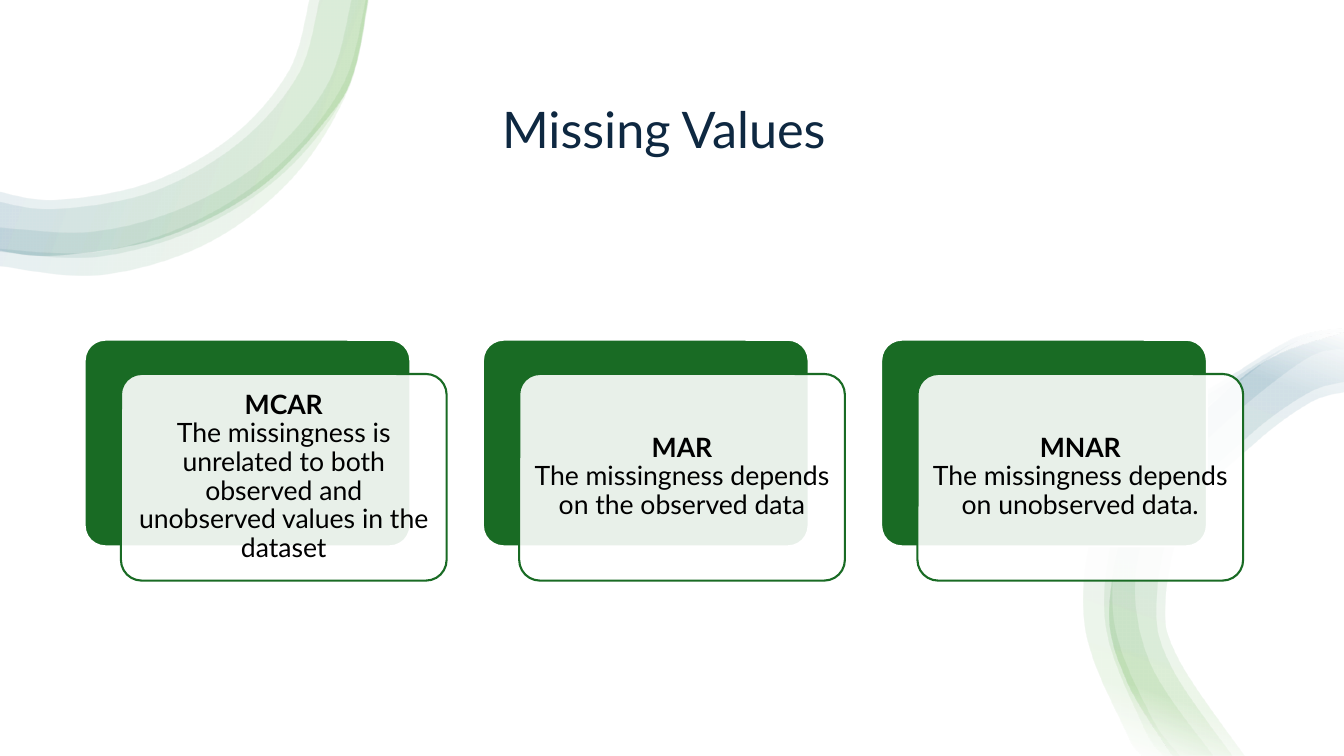
import pptx
import pptx.dml.color
import pptx.enum.shapes
import pptx.enum.text
import pptx.oxml
import pptx.oxml.ns
import pptx.util
from lxml import etree

Inches = pptx.util.Inches
Pt = pptx.util.Pt
qn = pptx.oxml.ns.qn
MIDDLE = pptx.enum.text.MSO_ANCHOR.MIDDLE
BOTTOM = pptx.enum.text.MSO_ANCHOR.BOTTOM
CENTER = pptx.enum.text.PP_ALIGN.CENTER
ROUNDED = pptx.enum.shapes.MSO_SHAPE.ROUNDED_RECTANGLE

COLORS = {
    "white": "FFFFFF", "navy": "0E2841", "black": "000000",
    "forest": "196B24", "leaf": "4EA72E", "teal": "156082",
}
FONT = "Lato"
RIBBON_STOPS = [(2, "white"), (16, "leaf"), (85, "teal"), (100, "white")]

CARDS = [
    ("MCAR", "The missingness is unrelated to both observed and unobserved values in the dataset"),
    ("MAR", "The missingness depends on the observed data"),
    ("MNAR", "The missingness depends on unobserved data."),
]

# Each ribbon is a stack of bands; a band lies between two named edges.
TOP_EDGES = {
    "inner": [(3.06, 0), (2.86, 0.7), (2.3, 1.35), (1.48, 1.81), (0.56, 1.98), (0, 1.9)],
    "inset": [(3.16, 0), (2.95, 0.74), (2.36, 1.42), (1.51, 1.9), (0.56, 2.07), (0, 2)],
    "outer": [(3.64, 0), (3.51, 0.68), (3.28, 1.12), (2.57, 1.86), (1.62, 2.35),
              (0.56, 2.53), (0, 2.48)],
    "rim start": [(3.48, 0), (3.25, 0.82), (2.66, 1.54), (1.85, 2.04), (0.93, 2.29), (0, 2.25)],
    "rim end": [(3.64, 0), (3.43, 0.9), (2.82, 1.7), (1.96, 2.26), (0.96, 2.54), (0, 2.49)],
    "halo start": [(3.63, 0), (3.4, 0.85), (2.77, 1.64), (1.93, 2.2), (0.96, 2.5), (0, 2.47)],
    "halo end": [(3.66, 0), (3.46, 0.88), (2.91, 1.76), (2.05, 2.42), (0.99, 2.73), (0, 2.64)],
}
TOP_BANDS = [("inner", "outer"), ("inset", "outer"),
             ("rim start", "rim end"), ("halo start", "halo end")]

RIGHT_EDGES = {
    "halo start": [(3.33, 0.29), (2.85, 0.39), (2.23, 0.83), (1.65, 1.34), (1.14, 2.19),
                   (1.05, 3.18), (1.41, 4.1), (1.7, 4.5)],
    "halo end": [(3.33, 0.26), (2.84, 0.35), (2.17, 0.75), (1.52, 1.19), (0.89, 2.1),
                 (0.76, 3.22), (1.17, 4.27), (1.33, 4.5)],
    "rim start": [(3.33, 0.46), (2.95, 0.56), (2.2, 1.15), (1.58, 1.82), (1.27, 2.68),
                  (1.41, 3.58), (2.03, 4.5)],
    "rim end": [(3.33, 0.3), (2.88, 0.38), (2.23, 0.76), (1.63, 1.21), (1.1, 2.13),
                (0.97, 3.19), (1.34, 4.2), (1.54, 4.5)],
    "outer": [(3.33, 0.3), (2.67, 0.52), (2.13, 0.91), (1.31, 1.78), (1.01, 2.98),
              (1.17, 3.74), (1.63, 4.5)],
    "inset": [(3.33, 0.79), (2.97, 0.9), (2.39, 1.32), (1.69, 2.06), (1.47, 2.98),
              (1.62, 3.62), (2.22, 4.5)],
    "inner": [(3.33, 0.89), (2.98, 1), (2.44, 1.4), (1.78, 2.08), (1.56, 2.98),
              (1.7, 3.56), (2.34, 4.5)],
}
RIGHT_BANDS = [("halo start", "halo end"), ("rim start", "rim end"),
               ("inset", "outer"), ("inner", "outer")]


def rgb(name):
    return pptx.dml.color.RGBColor.from_string(COLORS[name])


def apply_format(target, values):
    for name, value in values.items():
        setattr(target, name, value)


def round_edges(shape, edge_lengths):
    """Turn the straight segments along each edge into smooth cubic curves."""
    nodes = list(shape.element.spPr.iter(qn("a:pt")))
    points = [(int(node.get("x")), int(node.get("y"))) for node in nodes]
    first = 0
    for length in edge_lengths:
        edge = points[first:first + length]
        padded = [edge[0], *edge, edge[-1]]
        for index in range(1, length):
            a, b, c, d = padded[index - 1:index + 3]
            line = nodes[first + index].getparent()
            curve = etree.Element(qn("a:cubicBezTo"))
            controls = ([q + (r - p) / 6 for p, q, r in zip(a, b, c)],
                        [r - (s - q) / 6 for q, r, s in zip(b, c, d)], c)
            for x, y in controls:
                etree.SubElement(curve, qn("a:pt"), x=str(round(x)), y=str(round(y)))
            line.getparent().replace(line, curve)
        first += length


def fill_with_gradient(shape, angle):
    """Give the shape a faint ribbon gradient; angle is clockwise degrees."""
    stops = "".join(
        f'<a:gs pos="{position * 1000}"><a:srgbClr val="{COLORS[color]}">'
        '<a:alpha val="10000"/></a:srgbClr></a:gs>' for position, color in RIBBON_STOPS)
    gradient = pptx.oxml.parse_xml(
        f'<a:gradFill {pptx.oxml.ns.nsdecls("a")} rotWithShape="1"><a:gsLst>{stops}</a:gsLst>'
        f'<a:lin ang="{angle * 60000}" scaled="0"/></a:gradFill>')
    shape.element.spPr.find(qn("a:custGeom")).addnext(gradient)


def add_ribbon(slide, left, top, edges, bands, angle):
    for start, end in bands:
        outline = edges[start] + edges[end][::-1]
        points = [(Inches(left + x), Inches(top + y)) for x, y in outline]
        builder = slide.shapes.build_freeform(*points[0])
        builder.add_line_segments(points[1:], close=True)
        band = builder.convert_to_shape()
        band.shadow.inherit = False
        band.line.fill.background()
        round_edges(band, (len(edges[start]), len(edges[end])))
        fill_with_gradient(band, angle)


def add_title(slide, left, top, width, height):
    title = slide.shapes.title
    apply_format(title, {"left": Inches(left), "top": Inches(top),
                         "width": Inches(width), "height": Inches(height)})
    apply_format(title.text_frame, {"text": "Missing Values", "vertical_anchor": BOTTOM,
                                    "word_wrap": True,
                                    "auto_size": pptx.enum.text.MSO_AUTO_SIZE.NONE})
    paragraph = title.text_frame.paragraphs[0]
    apply_format(paragraph, {"alignment": CENTER, "line_spacing": 0.9})
    apply_format(paragraph.runs[0].font, {"name": FONT, "size": Pt(36)})
    paragraph.runs[0].font.color.rgb = rgb("navy")


def add_panel(slide, left, top, width, height, fill, line):
    panel = slide.shapes.add_shape(
        ROUNDED, Inches(left), Inches(top), Inches(width), Inches(height))
    panel.shadow.inherit = False
    panel.adjustments[0] = 0.1
    panel.fill.solid()
    panel.fill.fore_color.rgb = rgb(fill)
    panel.line.color.rgb = rgb(line)
    panel.line.width = Pt(1.5)
    return panel


def add_card(slide, left, top, width, height, heading, description):
    """Place a green panel with a translucent text panel shifted over it."""
    add_panel(slide, left, top, width, height, "forest", "white")
    front = add_panel(slide, left + 0.36, top + 0.34, width, height, "white", "forest")
    color = front.element.spPr.find(f'{qn("a:solidFill")}/{qn("a:srgbClr")}')
    etree.SubElement(color, qn("a:alpha"), val="90000")

    frame = front.text_frame
    apply_format(frame, {"word_wrap": True, "vertical_anchor": MIDDLE})
    apply_format(frame, {f"margin_{side}": Inches(0.08)
                         for side in ("left", "top", "right", "bottom")})
    paragraph = frame.paragraphs[0]
    apply_format(paragraph, {"alignment": CENTER, "line_spacing": 0.9})
    for text, bold in ((heading, True), (description, False)):
        run = paragraph.add_run()
        run.text = text
        apply_format(run.font, {"name": FONT, "size": Pt(19), "bold": bold})
        run.font.color.rgb = rgb("black")
        if bold:
            paragraph.add_line_break()


def main():
    presentation = pptx.Presentation()
    apply_format(presentation, {"slide_width": Inches(13.33), "slide_height": Inches(7.5)})
    slide = presentation.slides.add_slide(presentation.slide_layouts[5])
    slide.background.fill.solid()
    slide.background.fill.fore_color.rgb = rgb("white")

    add_title(slide, 1.21, 0.18, 10.75, 1.45)
    add_ribbon(slide, 0, 0, TOP_EDGES, TOP_BANDS, 200)
    add_ribbon(slide, 10, 3, RIGHT_EDGES, RIGHT_BANDS, 290)
    for index, (heading, description) in enumerate(CARDS):
        add_card(slide, 0.84 + index * 3.95, 3.37, 3.23, 2.05, heading, description)
    presentation.save("out.pptx")


if __name__ == "__main__":
    main()
